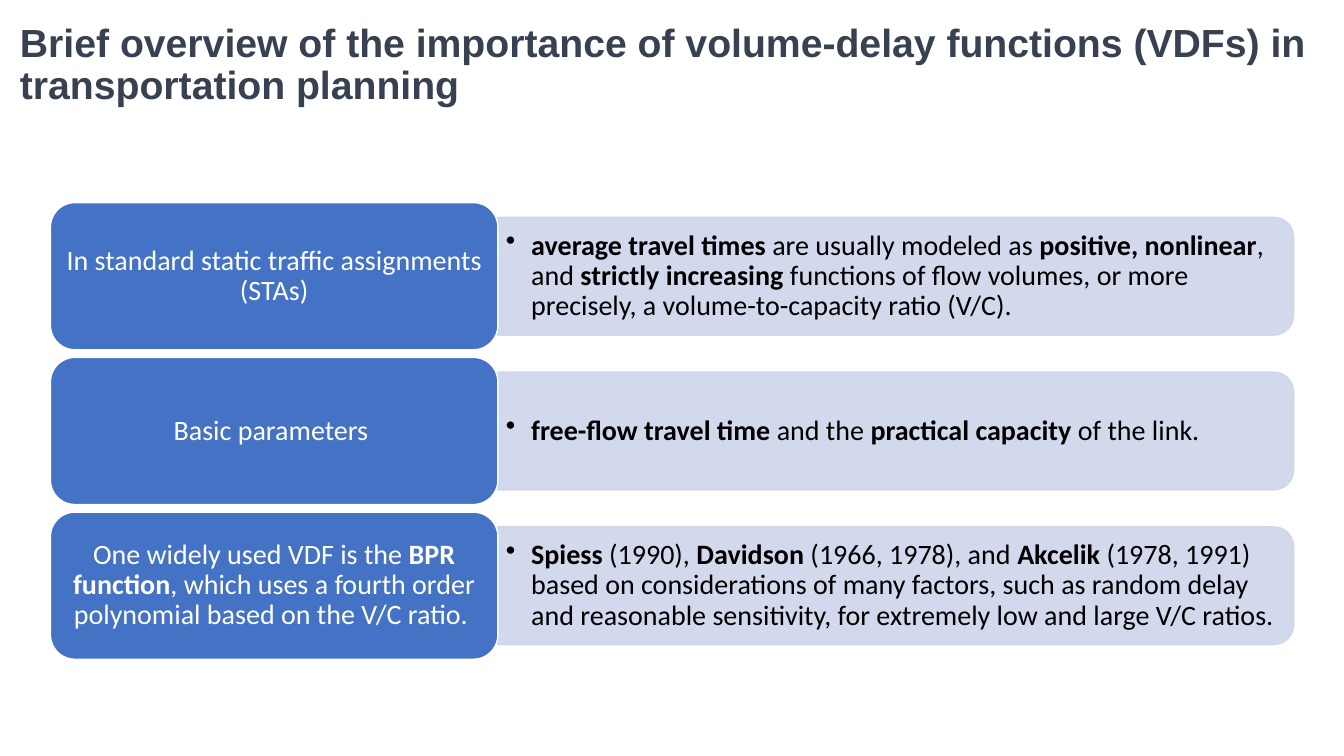
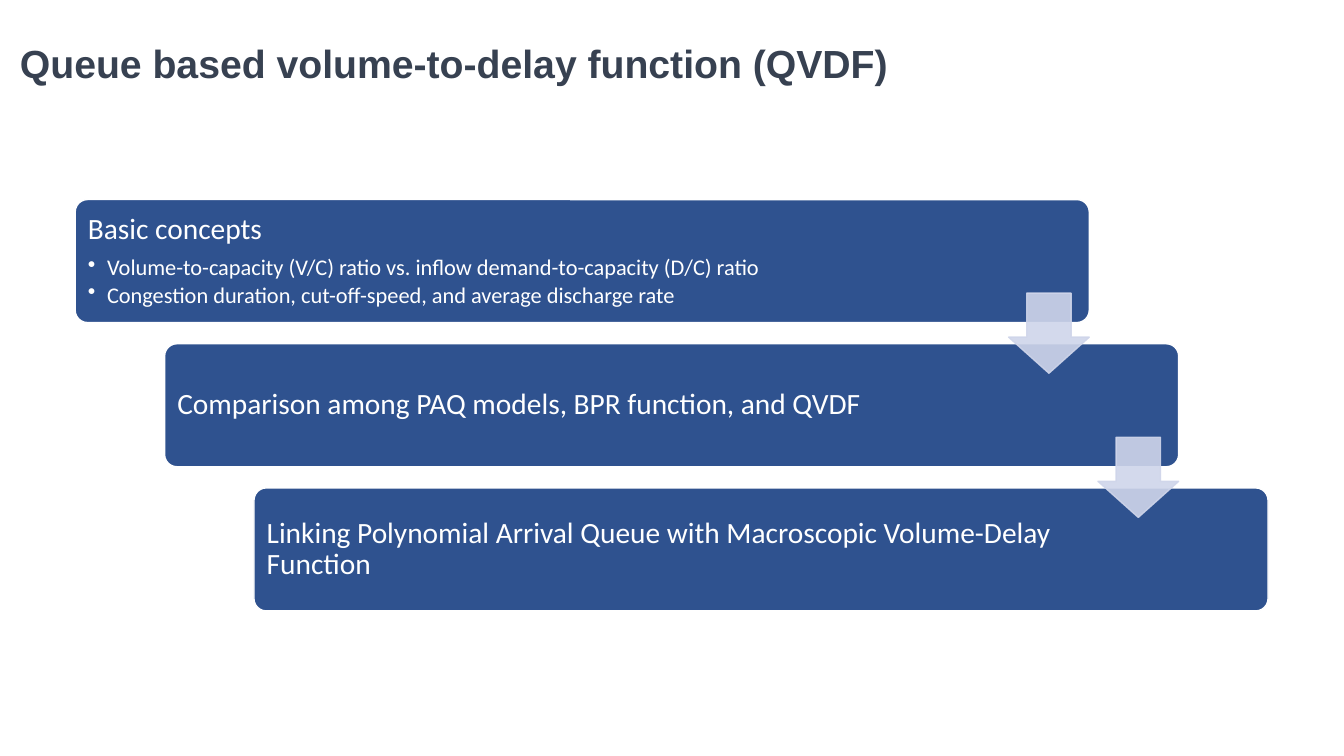
import dataclasses
import typing

import lxml.etree
import pptx
import pptx.dml.color
import pptx.enum.shapes
import pptx.enum.text
import pptx.oxml.ns
import pptx.util

KIND = pptx.enum.shapes.MSO_SHAPE
ALIGN = pptx.enum.text.PP_ALIGN
INCH = pptx.util.Inches
WIDE, HIGH = INCH(13.333), INCH(7.5)

HUES = {
    "title": "374151",
    "tag": "4472C4",
    "step": "2F528F",
    "pale": "CFD5EA",
    "dark": "000000",
    "white": "FFFFFF",
}

HEAD = {"size": pptx.util.Pt(28), "name": "Arial", "bold": True}
BODY = {"size": pptx.util.Pt(20), "name": "Calibri"}
LEAD = {"size": pptx.util.Pt(21), "name": "Calibri"}
ITEM = {"size": pptx.util.Pt(16), "name": "Calibri"}


@dataclasses.dataclass(frozen=True)
class Spot:
    """A box in percent of the slide's width and height."""
    left: float
    top: float
    width: float
    height: float

    def frame(self) -> tuple[int, int, int, int]:
        return (int(WIDE * self.left / 100), int(HIGH * self.top / 100),
                int(WIDE * self.width / 100), int(HIGH * self.height / 100))


@dataclasses.dataclass(frozen=True)
class Para:
    """One paragraph; words between ** marks are bold."""
    text: str
    font: dict[str, typing.Any]
    hue: str
    align: typing.Any = ALIGN.LEFT
    dent: float = 0
    after: float = 0


@dataclasses.dataclass(frozen=True)
class Row:
    tag: str
    note: str


ROWS = [
    Row("In standard static traffic assignments (STAs)",
        "**average travel times **are usually modeled as **positive, nonlinear**, and "
        "**strictly increasing** functions of flow volumes, or more precisely, "
        "a volume-to-capacity ratio (V/C)."),
    Row("Basic parameters ",
        "**free-flow travel time** and the **practical capacity **of the link."),
    Row("One widely used VDF is the** BPR function**, which uses a fourth order "
        "polynomial based on the V/C ratio. ",
        "**Spiess** (1990), **Davidson** (1966, 1978), and **Akcelik** (1978, 1991) "
        "based on considerations of many factors, such as random delay and reasonable "
        "sensitivity, for extremely low and large V/C ratios."),
]

STEPS = [
    ["Basic concepts",
     "Volume-to-capacity (V/C) ratio vs. inflow demand-to-capacity (D/C) ratio",
     "Congestion duration, cut-off-speed, and average discharge rate"],
    ["Comparison among PAQ models, BPR function, and QVDF"],
    ["Linking Polynomial Arrival Queue with Macroscopic Volume-Delay Function"],
]


def apply(thing: typing.Any, style: dict[str, typing.Any]) -> None:
    for key, value in style.items():
        setattr(thing, key, value)


def tone(hue: str) -> pptx.dml.color.RGBColor:
    return pptx.dml.color.RGBColor.from_string(HUES[hue])


def fade(shape: typing.Any, share: int) -> None:
    """Set the opacity, in percent, of a shape's fill and line."""
    for node in shape._element.spPr.iter(pptx.oxml.ns.qn("a:srgbClr")):
        lxml.etree.SubElement(node, pptx.oxml.ns.qn("a:alpha"), val=str(share * 1000))


def draw(slide: typing.Any, kind: typing.Any, spot: Spot, fill: str, line: str,
         bends: typing.Sequence[float] = (), turn: bool = False) -> typing.Any:
    """Add a shape that covers the spot, turned a quarter if asked."""
    left, top, width, height = spot.frame()
    if turn:
        left, top = left + (width - height) // 2, top + (height - width) // 2
        width, height = height, width
    shape = slide.shapes.add_shape(kind, left, top, width, height)
    shape.rotation = 90 if turn else 0
    shape.shadow.inherit = False
    shape.fill.solid()
    shape.fill.fore_color.rgb = tone(fill)
    shape.line.color.rgb = tone(line)
    shape.line.width = pptx.util.Pt(1)
    for index, bend in enumerate(bends):
        shape.adjustments[index] = bend
    return shape


def write(shape: typing.Any, paras: list[Para],
          pads: tuple[float, float, float, float]) -> None:
    """Fill a shape with text; pads are left, top, right and bottom inches."""
    sides = ("margin_left", "margin_top", "margin_right", "margin_bottom")
    frame = shape.text_frame
    apply(frame, {"word_wrap": True,
                  "vertical_anchor": pptx.enum.text.MSO_ANCHOR.MIDDLE,
                  **{side: INCH(pad) for side, pad in zip(sides, pads)}})
    for index, para in enumerate(paras):
        block = frame.add_paragraph() if index else frame.paragraphs[0]
        if para.dent:
            block.level = 1
            props = block._p.get_or_add_pPr()
            props.set("marL", str(INCH(para.dent)))
            props.set("indent", str(-INCH(para.dent)))
            lxml.etree.SubElement(props, pptx.oxml.ns.qn("a:buChar"), char="•")
        apply(block, {"alignment": para.align, "line_spacing": 0.9,
                      "space_after": pptx.util.Pt(para.after)})
        for part, words in enumerate(para.text.split("**")):
            if words:
                run = block.add_run()
                run.text = words
                apply(run.font, {"bold": part % 2 == 1, **para.font})
                run.font.color.rgb = tone(para.hue)


def start(deck: typing.Any, title: str) -> typing.Any:
    """Add a blank slide with its title."""
    slide = deck.slides.add_slide(deck.slide_layouts[6])
    box = slide.shapes.add_textbox(*Spot(0.75, 0, 98.4, 17.33).frame())
    write(box, [Para(title, HEAD, "title")], (0.1, 0.05, 0.1, 0.05))
    return slide


def table(slide: typing.Any) -> None:
    """Draw each row as a tag with a note bar at its right."""
    left, top, width, height, gap = 3.75, 26.8, 33.3, 19.47, 1
    thin = height * 0.8
    for index, row in enumerate(ROWS):
        high = top + index * (height + gap)
        bar = Spot(left + width, high + (height - thin) / 2, 59.2, thin)
        fade(draw(slide, KIND.ROUND_2_SAME_RECTANGLE, bar, "pale", "pale", turn=True), 90)
        note = slide.shapes.add_textbox(*bar.frame())
        write(note, [Para(row.note, BODY, "dark", dent=0.25)], (0.08, 0.04, 0.14, 0.04))
        tag = draw(slide, KIND.ROUNDED_RECTANGLE, Spot(left, high, width, height),
                   "tag", "white")
        write(tag, [Para(row.tag, BODY, "white", ALIGN.CENTER)], (0.08, 0.04, 0.08, 0.04))


def stairs(slide: typing.Any) -> None:
    """Draw the steps downwards, then an arrow across each gap."""
    spots = [Spot(5.6 + 6.65 * index, 26.4 + 19.07 * index, 75.45, 16.27)
             for index in range(len(STEPS))]
    for spot, (lead, *items) in zip(spots, STEPS):
        step = draw(slide, KIND.ROUNDED_RECTANGLE, spot, "step", "white", [0.1])
        paras = [Para(lead, LEAD, "white", after=7.35)]
        paras += [Para(item, ITEM, "white", dent=0.19, after=2.4) for item in items]
        write(step, paras, (0.09, 0.09, 1.78, 0.09))
    wide, high = 6, 10.6
    for spot, below in zip(spots, spots[1:]):
        gap = (spot.top + spot.height + below.top) / 2
        place = Spot(spot.left + spot.width - wide, gap - high / 2, wide, high)
        fade(draw(slide, KIND.DOWN_ARROW, place, "pale", "pale", [0.55, 0.45]), 90)


def main() -> None:
    deck = pptx.Presentation()
    apply(deck, {"slide_width": WIDE, "slide_height": HIGH})
    table(start(deck, "Brief overview of the importance of volume-delay functions "
                      "(VDFs) in transportation planning"))
    stairs(start(deck, "Queue based volume-to-delay function (QVDF)"))
    deck.save("out.pptx")


if __name__ == "__main__":
    main()
